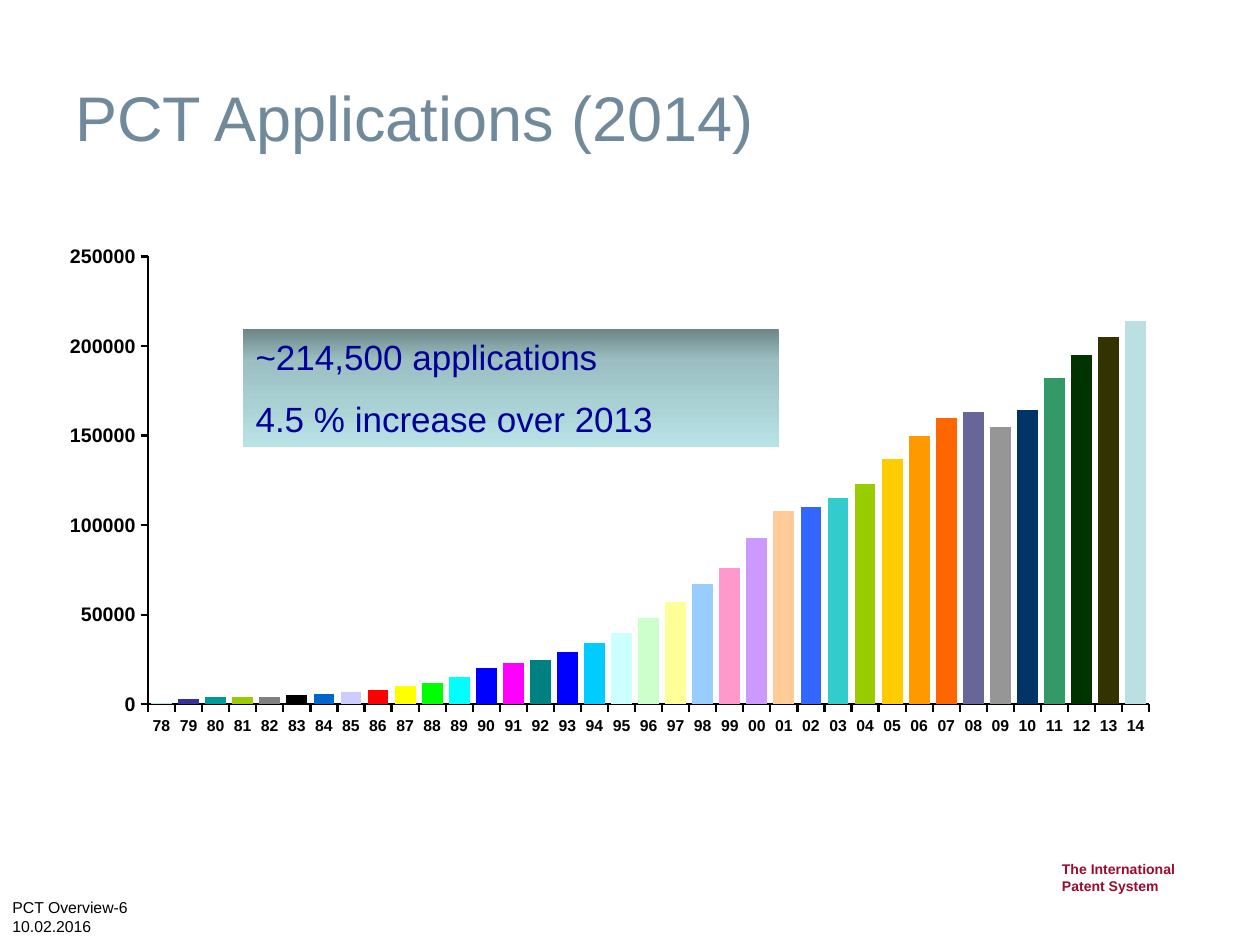
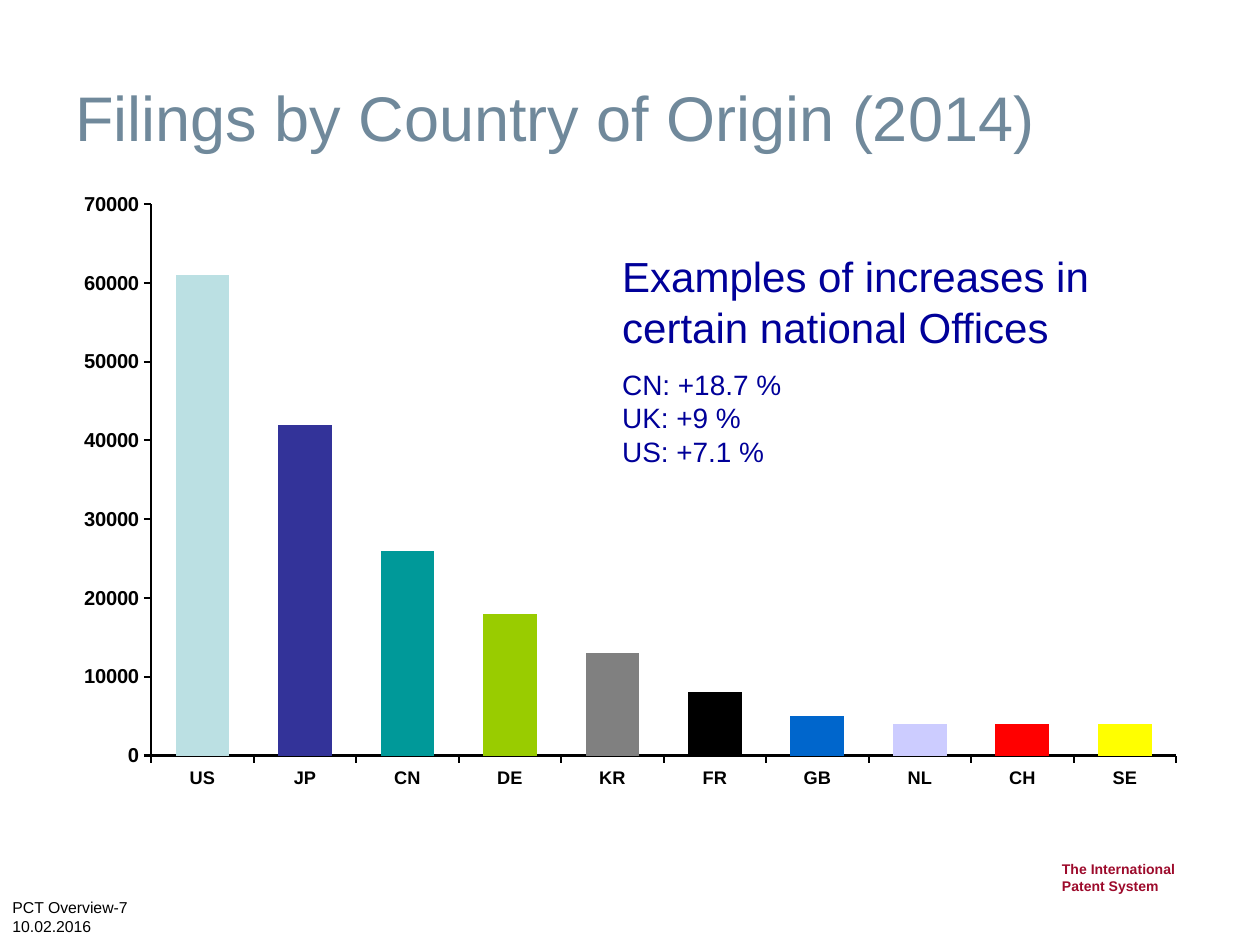
from copy import deepcopy

from lxml import etree
from pptx import Presentation
from pptx.chart.data import CategoryChartData
from pptx.dml.color import RGBColor
from pptx.enum.chart import XL_CHART_TYPE, XL_TICK_LABEL_POSITION, XL_TICK_MARK
from pptx.enum.shapes import MSO_SHAPE
from pptx.enum.text import MSO_ANCHOR, PP_ALIGN
from pptx.oxml.ns import qn
from pptx.util import Inches, Pt

COLUMN = XL_CHART_TYPE.COLUMN_CLUSTERED
LOW = XL_TICK_LABEL_POSITION.LOW
OUT, NONE = XL_TICK_MARK.OUTSIDE, XL_TICK_MARK.NONE
RECT = MSO_SHAPE.RECTANGLE
TOP, MIDDLE = MSO_ANCHOR.TOP, MSO_ANCHOR.MIDDLE
LEFT = PP_ALIGN.LEFT

WIDTH, HEIGHT = Inches(10), Inches(7.5)
FONT = "Arial"
BLACK, SLATE, NAVY, WINE = "000000", "70899B", "000099", "9D0A2B"
BARS = """BBE0E3 333399 009999 99CC00 808080 000000 0066CC CCCCFF FF0000
FFFF00 00FF00 00FFFF 0000FF FF00FF 008080 0000FF 00CCFF CCFFFF CCFFCC FFFF99
99CCFF FF99CC CC99FF FFCC99 3366FF 33CCCC 99CC00 FFCC00 FF9900 FF6600 666699
969696 003366 339966 003300 333300""".split()
PANEL = [(0, "6D8688"), (0.27, "9BBFC2"), (1, "B8E3E6")]

YEARS = [f"{year % 100:02}" for year in range(1978, 2015)]
FILED = [1, 3, 4, 4, 4, 5, 6, 7, 8, 10, 12, 15, 20, 23, 25, 29, 34, 40, 48,
         57, 67, 76, 93, 108, 110, 115, 123, 137, 150, 160, 163, 155, 164,
         182, 195, 205, 214]
LANDS = "US JP CN DE KR FR GB NL CH SE".split()
ORIGIN = [61, 42, 26, 18, 13, 8, 5, 4, 4, 4]


def color(code):
    return RGBColor.from_string(code)


def place(left, top, width, height):
    """Turn percentages of the slide's size into lengths."""
    return (int(WIDTH * left / 100), int(HEIGHT * top / 100),
            int(WIDTH * width / 100), int(HEIGHT * height / 100))


def style(font, size, code, bold=False):
    font.name, font.size, font.bold = FONT, Pt(size), bold
    font.color.rgb = color(code)


def write(shape, *lines, sizes, code, bold=False, gap=0, anchor=TOP):
    """Fill a shape with paragraphs; gap is a share of the text size."""
    frame = shape.text_frame
    frame.word_wrap, frame.vertical_anchor = True, anchor
    for i, (line, size) in enumerate(zip(lines, sizes)):
        para = frame.add_paragraph() if i else frame.paragraphs[0]
        para.text = line
        para.alignment = LEFT
        if i and gap:
            para.space_before = Pt(size * gap)
        for run in para.runs:
            style(run.font, size, code, bold)


def label(slide, box, *lines, **look):
    write(slide.shapes.add_textbox(*place(*box)), *lines, **look)


def panel(slide, box, *lines, **look):
    shape = slide.shapes.add_shape(RECT, *place(*box))
    shape.shadow.inherit = False
    shape.line.fill.background()
    shape.fill.gradient()
    shape.fill.gradient_angle = 270
    stops = shape._element.spPr.find(qn("a:gradFill")).find(qn("a:gsLst"))
    stops.append(deepcopy(stops[0]))
    for stop, (spot, code) in zip(shape.fill.gradient_stops, PANEL):
        stop.position = spot
        stop.color.rgb = color(code)
    write(shape, *lines, **look)


def frame_plot(chart, shares):
    """Pin the inner plot area to shares of the chart's size."""
    area = chart._chartSpace.chart.plotArea
    for old in area.findall(qn("c:layout")):
        area.remove(old)
    layout = etree.Element(qn("c:layout"))
    manual = etree.SubElement(layout, qn("c:manualLayout"))
    marks = [("layoutTarget", "inner"), ("xMode", "edge"), ("yMode", "edge")]
    for tag, val in marks + list(zip("xywh", shares)):
        etree.SubElement(manual, qn(f"c:{tag}")).set("val", str(val))
    area.insert(0, layout)


def set_axis(axis, size, line):
    axis.has_major_gridlines = False
    axis.major_tick_mark, axis.minor_tick_mark = OUT, NONE
    axis.format.line.color.rgb = color(BLACK)
    axis.format.line.width = Pt(line)
    style(axis.tick_labels.font, size, BLACK, True)


def bars(slide, box, names, counts, plot, gap, top, step, sizes, line):
    """Draw a column chart of counts given in thousands."""
    data = CategoryChartData(number_format="General")
    data.categories = names
    data.add_series("Series 1", [count * 1000 for count in counts])
    chart = slide.shapes.add_chart(COLUMN, *place(*box), data).chart
    chart.has_legend = chart.has_title = False
    style(chart.font, sizes[1], BLACK, True)
    frame_plot(chart, plot)
    set_axis(chart.category_axis, sizes[0], line)
    chart.category_axis.tick_label_position = LOW
    scale = chart.value_axis
    set_axis(scale, sizes[1], line)
    scale.minimum_scale, scale.maximum_scale = 0, top
    scale.major_unit = step
    group = chart.plots[0]
    group.gap_width, group.vary_by_categories = gap, False
    series = group.series[0]
    series.invert_if_negative = False
    for i in range(len(counts)):
        fill = series.points[i].format.fill
        fill.solid()
        fill.fore_color.rgb = color(BARS[i % len(BARS)])


def add_page(deck, title, number):
    slide = deck.slides.add_slide(deck.slide_layouts[6])
    label(slide, (83.3, 90.4, 15.6, 4.4), "The International\vPatent System",
          sizes=[8], code=WINE, bold=True)
    label(slide, (0, 94.4, 12.1, 5.33), f"PCT Overview-{number}",
          "10.02.2016", sizes=[9, 9], code=BLACK)
    label(slide, (5, 4, 90, 16.67), title, sizes=[36], code=SLATE,
          anchor=MIDDLE)
    return slide


def main():
    deck = Presentation()
    deck.slide_width, deck.slide_height = WIDTH, HEIGHT

    growth = add_page(deck, "PCT Applications (2014)", 6)
    bars(growth, (5, 25.87, 90, 63.47), YEARS, FILED,
         plot=(0.075, 0.02, 0.883, 0.747), gap=30, top=250000, step=50000,
         sizes=(9, 11.2), line=1.28)
    panel(growth, (19.3, 34.8, 42.5, 12.53), "~214,500 applications",
          "4.5 % increase over 2013", sizes=[20, 20], code=NAVY, gap=0.57)

    lands = add_page(deck, "Filings by Country of Origin (2014)", 7)
    bars(lands, (4.7, 20.27, 91.4, 67.07), LANDS, ORIGIN,
         plot=(0.08, 0.02, 0.89, 0.87), gap=90, top=70000, step=10000,
         sizes=(10.4, 11.5), line=1.15)
    label(lands, (48.4, 25.87, 49.6, 28.4),
          "Examples of increases in\vcertain national Offices",
          "CN: +18.7 %\vUK: +9 %\vUS: +7.1 %",
          sizes=[24, 16], code=NAVY, gap=0.57)

    deck.save("out.pptx")


if __name__ == "__main__":
    main()
